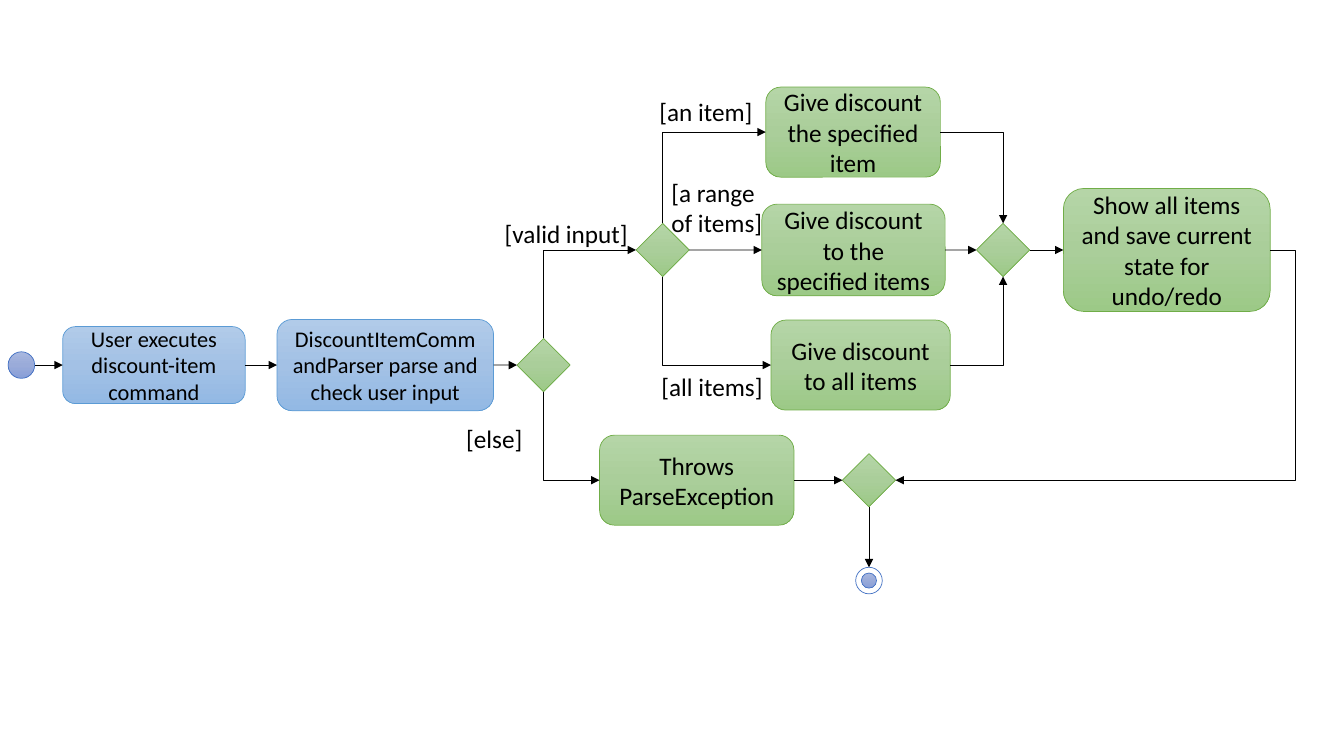
from copy import deepcopy
from dataclasses import dataclass

from lxml import etree
from pptx import Presentation
from pptx import util as u
from pptx.dml.color import RGBColor
from pptx.enum import shapes, text
from pptx.oxml import ns
from pptx.util import Cm

PRESET = shapes.MSO_SHAPE
TOP, LEFT, BOTTOM, RIGHT = range(4)
ROW_ITEM, ROW_RANGE, ROW_MAIN, ROW_ERROR, ROW_END = 3.33, 6.3, 9.2, 12.1, 14.63


@dataclass(frozen=True)
class Theme:
    font: str = "Calibri"
    ink: str = "000000"
    white: str = "FFFFFF"
    green: tuple = ("B5D5A7", "AACE9A", "9CC987")
    green_line: str = "70AD47"
    blue: tuple = ("B1CBE9", "A3C1E5", "93B9E4")
    blue_line: str = "5B9BD5"
    indigo: tuple = ("A8B7DF", "9AABD9", "889ED7")
    indigo_line: str = "4472C4"
    small: int = 16
    normal: int = 18
    stroke: float = 0.5


THEME = Theme()


def write_text(shape, content, size=THEME.normal, align=text.PP_ALIGN.LEFT,
               anchor=text.MSO_ANCHOR.TOP, fit=text.MSO_AUTO_SIZE.NONE):
    frame = shape.text_frame
    frame.word_wrap = True
    frame.auto_size = fit
    frame.vertical_anchor = anchor
    paragraph = frame.paragraphs[0]
    paragraph.alignment = align
    run = paragraph.add_run()
    run.text = content
    run.font.name = THEME.font
    run.font.size = u.Pt(size)
    run.font.color.rgb = RGBColor.from_string(THEME.ink)


def paint_gradient(shape, colors):
    shape.fill.gradient()
    shape.fill.gradient_angle = 270
    stop_list = shape._element.spPr.find(".//" + ns.qn("a:gsLst"))
    stop_list.insert(1, deepcopy(stop_list[0]))
    for index, (stop, color) in enumerate(zip(shape.fill.gradient_stops, colors)):
        stop.position = index / 2
        stop.color.rgb = RGBColor.from_string(color)


def add_node(parent, preset, center_x, center_y, width, height, colors, line):
    shape = parent.add_shape(preset, Cm(center_x - width / 2), Cm(center_y - height / 2),
                             Cm(width), Cm(height))
    shape.shadow.inherit = False
    if isinstance(colors, tuple):
        paint_gradient(shape, colors)
    else:
        shape.fill.solid()
        shape.fill.fore_color.rgb = RGBColor.from_string(colors)
    shape.line.color.rgb = RGBColor.from_string(line)
    shape.line.width = u.Pt(THEME.stroke)
    return shape


def add_action(slide, content, left, row, width, height=2.27, colors=THEME.green,
               line=THEME.green_line, size=THEME.normal):
    shape = add_node(slide.shapes, PRESET.ROUNDED_RECTANGLE, left + width / 2, row,
                     width, height, colors, line)
    write_text(shape, content, size=size, align=text.PP_ALIGN.CENTER,
               anchor=text.MSO_ANCHOR.MIDDLE)
    return shape


def add_diamond(slide, center_x, row):
    return add_node(slide.shapes, PRESET.DIAMOND, center_x, row, 1.34, 1.34,
                    THEME.green, THEME.green_line)


def add_circle(parent, center_x, row, size, colors):
    return add_node(parent, PRESET.OVAL, center_x, row, size, size, colors, THEME.indigo_line)


def add_label(slide, content, left, top, width, height=1.02):
    box = slide.shapes.add_textbox(Cm(left), Cm(top), Cm(width), Cm(height))
    write_text(box, content, fit=text.MSO_AUTO_SIZE.SHAPE_TO_FIT_TEXT)


def side_point(shape, side):
    x = {LEFT: 0, RIGHT: shape.width}.get(side, shape.width // 2)
    y = {TOP: 0, BOTTOM: shape.height}.get(side, shape.height // 2)
    return shape.left + x, shape.top + y


def shape_corner(connector, start_side):
    connector._element.spPr.find(ns.qn("a:prstGeom")).set("prst", "bentConnector2")
    if start_side not in (TOP, BOTTOM):
        return
    width, height = connector.width, connector.height
    connector.left += (width - height) // 2
    connector.top += (height - width) // 2
    connector.width, connector.height = height, width
    transform = connector._element.spPr.find(ns.qn("a:xfrm"))
    transform.set("flipH", "1")
    transform.set("rot", str((90 if start_side == TOP else 270) * 60000))


def shape_detour(connector, detour):
    geometry = connector._element.spPr.find(ns.qn("a:prstGeom"))
    values = geometry.find(ns.qn("a:avLst"))
    ratio = round(-Cm(detour) / connector.width * 100000)
    etree.SubElement(values, ns.qn("a:gd"), name="adj1", fmla=f"val {ratio}")


def add_arrow(slide, source, start_side, target, end_side, detour=None):
    start, end = side_point(source, start_side), side_point(target, end_side)
    turns = (start_side in (TOP, BOTTOM)) != (end_side in (TOP, BOTTOM))
    kind = shapes.MSO_CONNECTOR.ELBOW if turns or detour else shapes.MSO_CONNECTOR.STRAIGHT
    connector = slide.shapes.add_connector(kind, *start, *end)
    if source.auto_shape_type != PRESET.OVAL:
        connector.begin_connect(source, start_side)
    if target.auto_shape_type != PRESET.OVAL:
        connector.end_connect(target, end_side)
    if turns:
        shape_corner(connector, start_side)
    if detour:
        shape_detour(connector, detour)
    connector.line.color.rgb = RGBColor.from_string(THEME.ink)
    connector.line.width = u.Pt(THEME.stroke)
    etree.SubElement(connector.line._get_or_add_ln(), ns.qn("a:tailEnd"), type="triangle")
    etree.SubElement(connector._element.spPr, ns.qn("a:effectLst"))


def main():
    presentation = Presentation()
    presentation.slide_width, presentation.slide_height = Cm(33.87), Cm(19.05)
    slide = presentation.slides.add_slide(presentation.slide_layouts[6])

    start = add_circle(slide.shapes, 0.54, ROW_MAIN, 0.67, THEME.indigo)
    blue = dict(colors=THEME.blue, line=THEME.blue_line, size=THEME.small)
    execute = add_action(slide, "User executes discount-item command",
                         1.58, ROW_MAIN, 4.6, 1.94, **blue)
    check = add_action(slide, "DiscountItemCommandParser parse and check user input",
                       6.98, ROW_MAIN, 5.46, 2.3, **blue)
    one_item = add_action(slide, "Give discount the specified item", 19.3, ROW_ITEM, 4.4)
    item_range = add_action(slide, "Give discount to the specified items",
                            19.2, ROW_RANGE, 4.62, 2.31)
    all_items = add_action(slide, "Give discount to all items", 19.43, ROW_MAIN, 4.52)
    failure = add_action(slide, "Throws ParseException", 15.11, ROW_ERROR, 4.9)
    show = add_action(slide, "Show all items and save current state for undo/redo",
                      26.8, ROW_RANGE, 5.21, 3.1)

    validity = add_diamond(slide, 13.7, ROW_MAIN)
    scope = add_diamond(slide, 16.7, ROW_RANGE)
    scope_merge = add_diamond(slide, 25.28, ROW_RANGE)
    final_merge = add_diamond(slide, 21.9, ROW_ERROR)
    end_group = slide.shapes.add_group_shape()
    end = add_circle(end_group.shapes, 21.9, ROW_END, 0.67, THEME.white)
    add_circle(end_group.shapes, 21.9, ROW_END, 0.38, THEME.indigo)

    for source, start_side, target, end_side in (
        (start, RIGHT, execute, LEFT),
        (execute, RIGHT, check, LEFT),
        (check, RIGHT, validity, LEFT),
        (validity, TOP, scope, LEFT),
        (validity, BOTTOM, failure, LEFT),
        (scope, TOP, one_item, LEFT),
        (scope, RIGHT, item_range, LEFT),
        (scope, BOTTOM, all_items, LEFT),
        (one_item, RIGHT, scope_merge, TOP),
        (item_range, RIGHT, scope_merge, LEFT),
        (all_items, RIGHT, scope_merge, BOTTOM),
        (scope_merge, RIGHT, show, LEFT),
        (failure, RIGHT, final_merge, LEFT),
        (final_merge, BOTTOM, end, TOP),
    ):
        add_arrow(slide, source, start_side, target, end_side)
    add_arrow(slide, show, RIGHT, final_merge, RIGHT, detour=0.63)

    add_label(slide, "[else]", 11.5, 10.54, 2.36)
    add_label(slide, "[valid input]", 12.47, 5.38, 3.68)
    add_label(slide, "[an item]", 16.37, 2.3, 2.9)
    add_label(slide, "[a range of items]", 16.67, 4.35, 2.9, 1.8)
    add_label(slide, "[all items]", 16.42, 9.23, 4.39)
    presentation.save("out.pptx")


if __name__ == "__main__":
    main()
